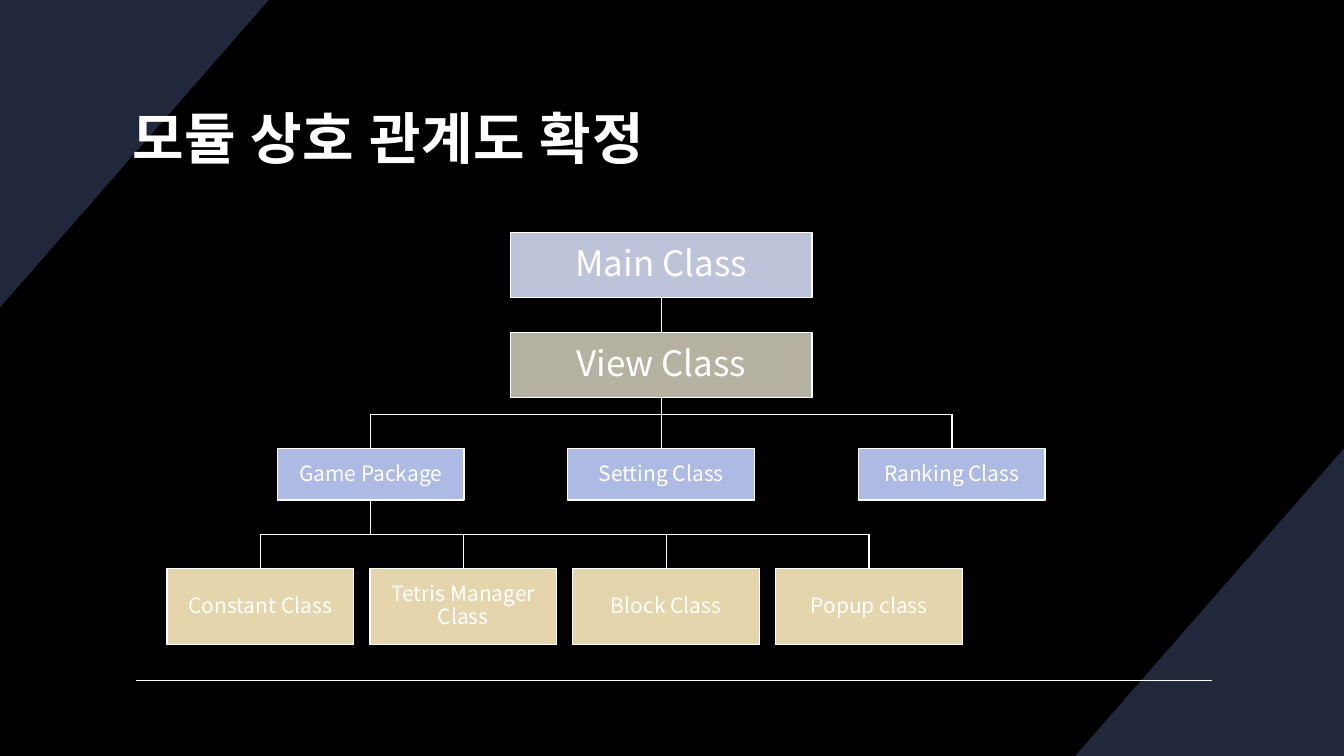
from dataclasses import dataclass

from lxml.etree import SubElement
from pptx import Presentation
from pptx.dml.color import RGBColor
from pptx.enum.shapes import MSO_CONNECTOR as Connector, MSO_SHAPE as Shape
from pptx.enum.text import MSO_ANCHOR as Anchor, MSO_AUTO_SIZE as AutoSize, PP_ALIGN as Align
from pptx.oxml.ns import qn
from pptx.slide import Slide
from pptx.text.text import _Paragraph as Paragraph
from pptx.util import Inches, Pt

WIDTH, HEIGHT = Inches(13.33), Inches(7.5)
FONT = "Noto Sans CJK KR"
COLORS = {
    "background": "000000",
    "corner": "22283C",
    "white": "FFFFFF",
    "main": "BDC3D9",
    "view": "B5B2A2",
    "package": "ADBAE4",
    "class": "E4D5AD",
}
# All lengths below are percentages of the slide's width or height.
CORNER_WIDTH, CORNER_HEIGHT = 20, 40.67
DROP = 4.53  # from a horizontal branch down to the boxes under it


@dataclass(frozen=True)
class Tier:
    """A row of equal boxes spread around a centre, hanging from one box of the tier above."""
    labels: tuple[str, ...]
    color: str
    center: float
    top: float
    width: float
    height: float
    size: int
    pitch: float = 0
    parent: int = 0

    @property
    def centers(self) -> list[float]:
        middle = (len(self.labels) - 1) / 2
        return [self.center + (i - middle) * self.pitch for i in range(len(self.labels))]

    @property
    def bottom(self) -> float:
        return self.top + self.height


TIERS = (
    Tier(("Main Class",), "main", 49.2, 30.8, 22.45, 8.6, 25),
    Tier(("View Class",), "view", 49.2, 44, 22.45, 8.6, 25),
    Tier(("Game Package", "Setting Class", "Ranking Class"),
         "package", 49.2, 59.33, 13.9, 6.8, 15, pitch=21.62),
    Tier(("Constant Class", "Tetris Manager Class", "Block Class", "Popup class"),
         "class", 42.02, 75.2, 13.9, 10.07, 15, pitch=15.1),
)


def across(percent: float) -> int:
    return round(WIDTH * percent / 100)


def down(percent: float) -> int:
    return round(HEIGHT * percent / 100)


def rgb(name: str) -> RGBColor:
    return RGBColor.from_string(COLORS[name])


def format_runs(paragraph: Paragraph, size: int, bold: bool = False, spacing: int = 0) -> None:
    """Style every run; spacing is in hundredths of a point."""
    for run in paragraph.runs:
        run.font.size = Pt(size)
        run.font.bold = bold
        run.font.color.rgb = rgb("white")
        run.font.name = FONT
        properties = run.font._element
        SubElement(properties, qn("a:ea")).set("typeface", FONT)
        if spacing:
            properties.set("spc", str(spacing))


def add_line(slide: Slide, x1: float, y1: float, x2: float, y2: float) -> None:
    line = slide.shapes.add_connector(
        Connector.STRAIGHT, across(x1), down(y1), across(x2), down(y2))
    line.line.color.rgb = rgb("white")
    line.line.width = Pt(1)
    SubElement(line._element.spPr, qn("a:effectLst"))


def add_corner(slide: Slide, points: list[tuple[float, float]]) -> None:
    start, *others = [(across(x), down(y)) for x, y in points]
    builder = slide.shapes.build_freeform(*start)
    builder.add_line_segments(others, close=True)
    corner = builder.convert_to_shape()
    corner.shadow.inherit = False
    corner.fill.solid()
    corner.fill.fore_color.rgb = rgb("corner")
    corner.line.fill.background()


def add_title(slide: Slide, text: str) -> None:
    title = slide.shapes.title
    title.left, title.top = across(8.93), down(7.6)
    title.width, title.height = across(81.22), down(19.87)
    frame = title.text_frame
    frame.text = text
    frame.word_wrap = True
    frame.auto_size = AutoSize.NONE
    frame.vertical_anchor = Anchor.MIDDLE
    frame.margin_left = frame.margin_right = frame.margin_top = Inches(0.12)
    frame.margin_bottom = Inches(0.1)
    paragraph = frame.paragraphs[0]
    paragraph.alignment = Align.LEFT
    paragraph.line_spacing = 1.1
    format_runs(paragraph, 40, bold=True, spacing=70)


def add_boxes(slide: Slide, tier: Tier) -> None:
    for label, center in zip(tier.labels, tier.centers):
        box = slide.shapes.add_shape(
            Shape.RECTANGLE, across(center - tier.width / 2), down(tier.top),
            across(tier.width), down(tier.height))
        box.shadow.inherit = False
        box.fill.solid()
        box.fill.fore_color.rgb = rgb(tier.color)
        box.line.color.rgb = rgb("white")
        box.line.width = Pt(1)
        frame = box.text_frame
        frame.text = label
        frame.word_wrap = True
        frame.vertical_anchor = Anchor.MIDDLE
        paragraph = frame.paragraphs[0]
        paragraph.alignment = Align.CENTER
        paragraph.line_spacing = 0.9
        format_runs(paragraph, tier.size)


def add_branches(slide: Slide, upper: Tier, lower: Tier) -> None:
    trunk = upper.centers[lower.parent]
    if len(lower.labels) == 1:
        add_line(slide, trunk, upper.bottom, trunk, lower.top)
        return
    branch = lower.top - DROP
    add_line(slide, trunk, upper.bottom, trunk, branch)
    add_line(slide, lower.centers[0], branch, lower.centers[-1], branch)
    for center in lower.centers:
        add_line(slide, center, branch, center, lower.top)


def main() -> None:
    presentation = Presentation()
    presentation.slide_width, presentation.slide_height = WIDTH, HEIGHT
    slide = presentation.slides.add_slide(presentation.slide_layouts.get_by_name("Title Only"))
    slide.background.fill.solid()
    slide.background.fill.fore_color.rgb = rgb("background")

    add_corner(slide, [(0, 0), (CORNER_WIDTH, 0), (0, CORNER_HEIGHT)])
    add_corner(slide, [(100, 100), (100 - CORNER_WIDTH, 100), (100, 100 - CORNER_HEIGHT)])
    add_line(slide, 10.12, 90, 90.15, 90)
    add_title(slide, "모듈 상호 관계도 확정")
    # The title placeholder moves in front of the corners.
    slide.shapes._spTree.append(slide.shapes.title._element)

    for upper, lower in zip(TIERS, TIERS[1:]):
        add_branches(slide, upper, lower)
    for tier in TIERS:
        add_boxes(slide, tier)
    presentation.save("out.pptx")


if __name__ == "__main__":
    main()
